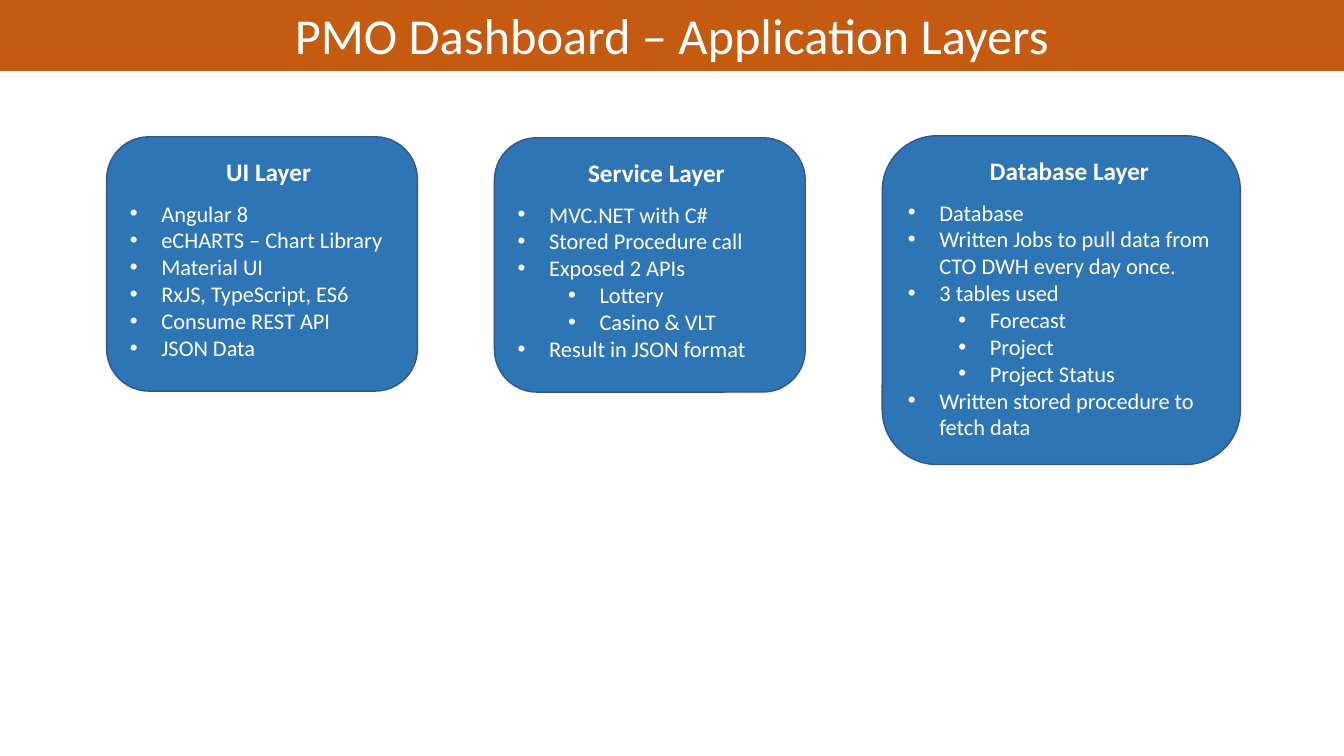
"""Build the PMO Dashboard application layers slide."""
from dataclasses import dataclass

from lxml.etree import SubElement
from pptx import Presentation
from pptx.dml.color import RGBColor as RGB
from pptx.enum.shapes import MSO_SHAPE as SHAPE
from pptx.enum.text import MSO_ANCHOR as ANCHOR, MSO_AUTO_SIZE as FIT, PP_ALIGN as ALIGN
from pptx.oxml.ns import qn
from pptx.util import Pt

COLORS = {"banner": "C55A11", "card": "2E75B6", "border": "325491", "text": "FFFFFF"}
FONT = "Calibri"
SLIDE_W, SLIDE_H = 960, 540
BANNER_H = 50.4
HEAD_TOP, BODY_TOP, HEAD_H = 10.4, 41.4, 29
BULLET_INDENT, LEVEL_STEP = 22.5, 36


@dataclass(frozen=True)
class Layer:
    title: str
    box: tuple[float, float, float, float]
    text_dx: float
    text_w: float
    body_h: float
    items: tuple[tuple[int, str], ...]


LAYERS = (
    Layer("UI Layer", (76.2, 97.7, 222, 181.7), 9.5, 212.4, 124, (
        (0, "Angular 8"),
        (0, "eCHARTS – Chart Library"),
        (0, "Material UI"),
        (0, "RxJS, TypeScript, ES6"),
        (0, "Consume REST API"),
        (0, "JSON Data"),
    )),
    Layer("Service Layer", (353.2, 98.4, 222, 181.7), 9.5, 212.4, 124, (
        (0, "MVC.NET with C#"),
        (0, "Stored Procedure call"),
        (0, "Exposed 2 APIs"),
        (1, "Lottery"),
        (1, "Casino & VLT"),
        (0, "Result in JSON format"),
    )),
    Layer("Database Layer", (630.2, 97, 255.8, 234.8), 11.3, 244.8, 242.6, (
        (0, "Database"),
        (0, "Written Jobs to pull data from CTO DWH every day once."),
        (0, "3 tables used"),
        (1, "Forecast"),
        (1, "Project"),
        (1, "Project Status"),
        (0, "Written stored procedure to fetch data"),
    )),
)


def add_block(shapes, kind: SHAPE, box: tuple, fill: str, line: str) -> None:
    sp = shapes.add_shape(kind, *map(Pt, box))
    sp.shadow.inherit = False
    sp.fill.solid()
    sp.fill.fore_color.rgb = RGB.from_string(COLORS[fill])
    sp.line.color.rgb = RGB.from_string(COLORS[line])
    sp.line.width = Pt(1)


def set_bullet(p, level: int) -> None:
    p.level = level
    pPr = p._p.get_or_add_pPr()
    pPr.set("marL", str(Pt(BULLET_INDENT + level * LEVEL_STEP)))
    pPr.set("indent", str(-Pt(BULLET_INDENT)))
    SubElement(pPr, qn("a:buFont"), typeface="Arial")
    SubElement(pPr, qn("a:buChar"), char="•")


def add_text(shapes, items: tuple, box: tuple, *, size: float, bold: bool = False,
             align: ALIGN = ALIGN.LEFT, anchor: ANCHOR = ANCHOR.TOP,
             spacing: float = 1.0, bullets: bool = False, fit: FIT = FIT.NONE) -> None:
    tf = shapes.add_textbox(*map(Pt, box)).text_frame
    tf.word_wrap = True
    tf.auto_size = fit
    tf.vertical_anchor = anchor
    for i, (level, text) in enumerate(items):
        p = tf.add_paragraph() if i else tf.paragraphs[0]
        p.alignment = align
        p.line_spacing = spacing
        if bullets:
            set_bullet(p, level)
        r = p.add_run()
        r.text = text
        r.font.name = FONT
        r.font.size = Pt(size)
        r.font.bold = bold
        r.font.color.rgb = RGB.from_string(COLORS["text"])


def add_layer(slide, layer: Layer) -> None:
    shapes = slide.shapes.add_group_shape().shapes
    left, top = layer.box[:2]
    text_left = left + layer.text_dx
    add_block(shapes, SHAPE.ROUNDED_RECTANGLE, layer.box, "card", "border")
    add_text(shapes, ((0, layer.title),), (text_left, top + HEAD_TOP, layer.text_w, HEAD_H),
             size=18, bold=True, align=ALIGN.CENTER, fit=FIT.SHAPE_TO_FIT_TEXT)
    add_text(shapes, layer.items, (text_left, top + BODY_TOP, layer.text_w, layer.body_h),
             size=16, bullets=True, fit=FIT.SHAPE_TO_FIT_TEXT)


def main() -> None:
    prs = Presentation()
    prs.slide_width, prs.slide_height = Pt(SLIDE_W), Pt(SLIDE_H)
    s = prs.slides.add_slide(prs.slide_layouts[6])
    add_block(s.shapes, SHAPE.RECTANGLE, (0, 0, SLIDE_W, BANNER_H), "banner", "banner")
    add_text(s.shapes, ((0, "PMO Dashboard – Application Layers"),),
             (0, 0.7, SLIDE_W, BANNER_H - 0.7), size=36, align=ALIGN.CENTER,
             anchor=ANCHOR.BOTTOM, spacing=0.9)
    for layer in LAYERS:
        add_layer(s, layer)
    prs.save("out.pptx")


if __name__ == "__main__":
    main()
